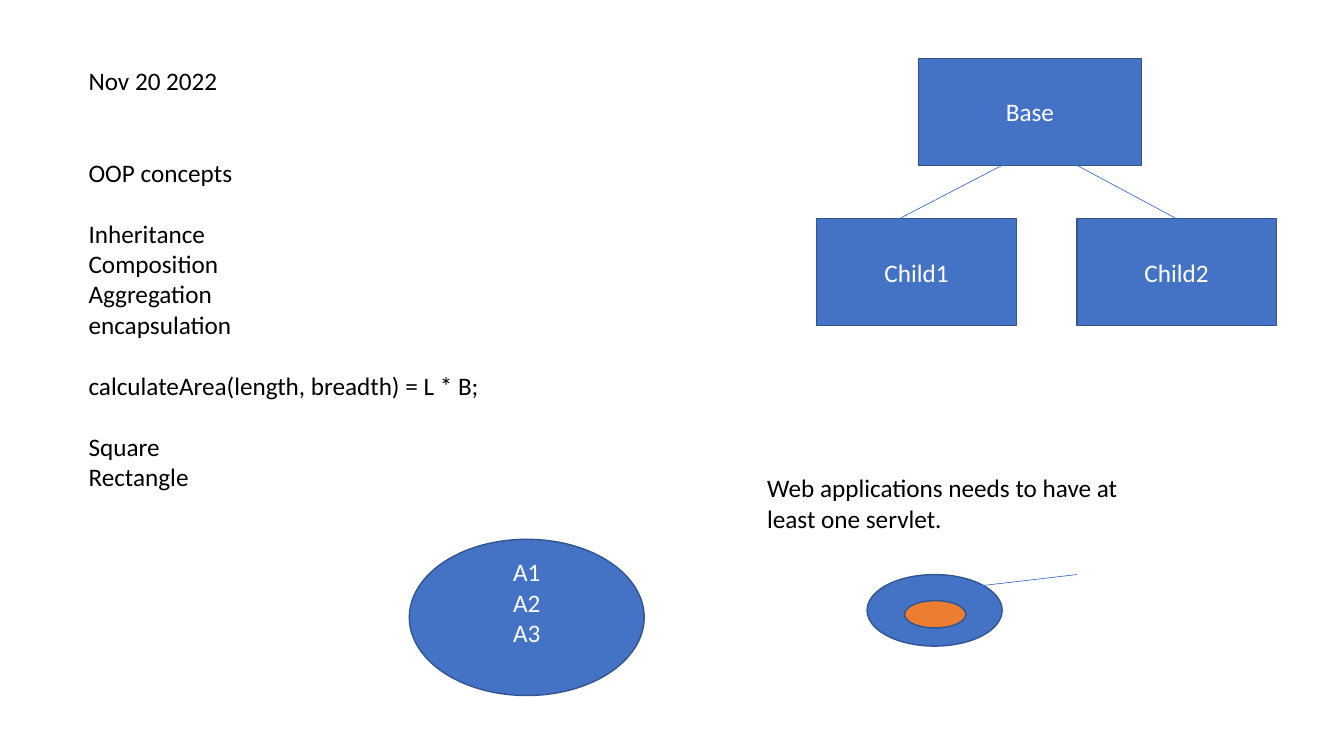
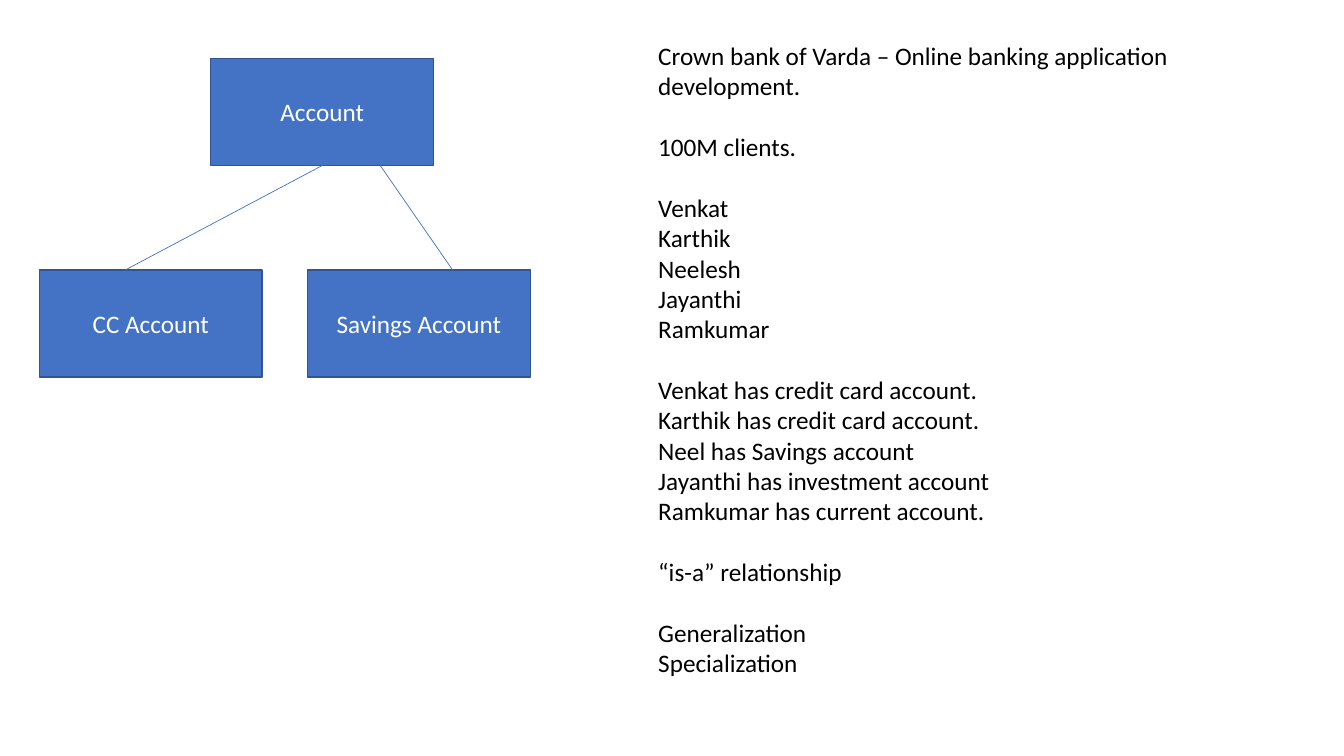
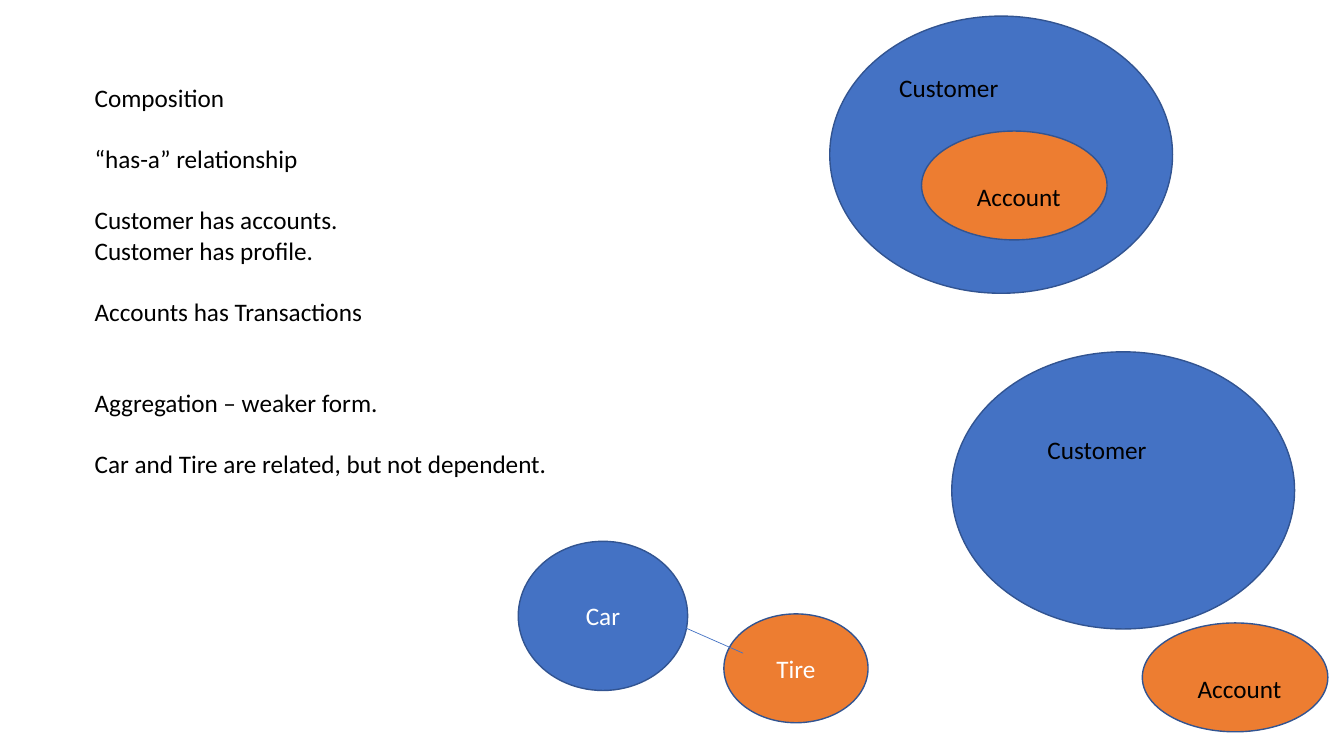
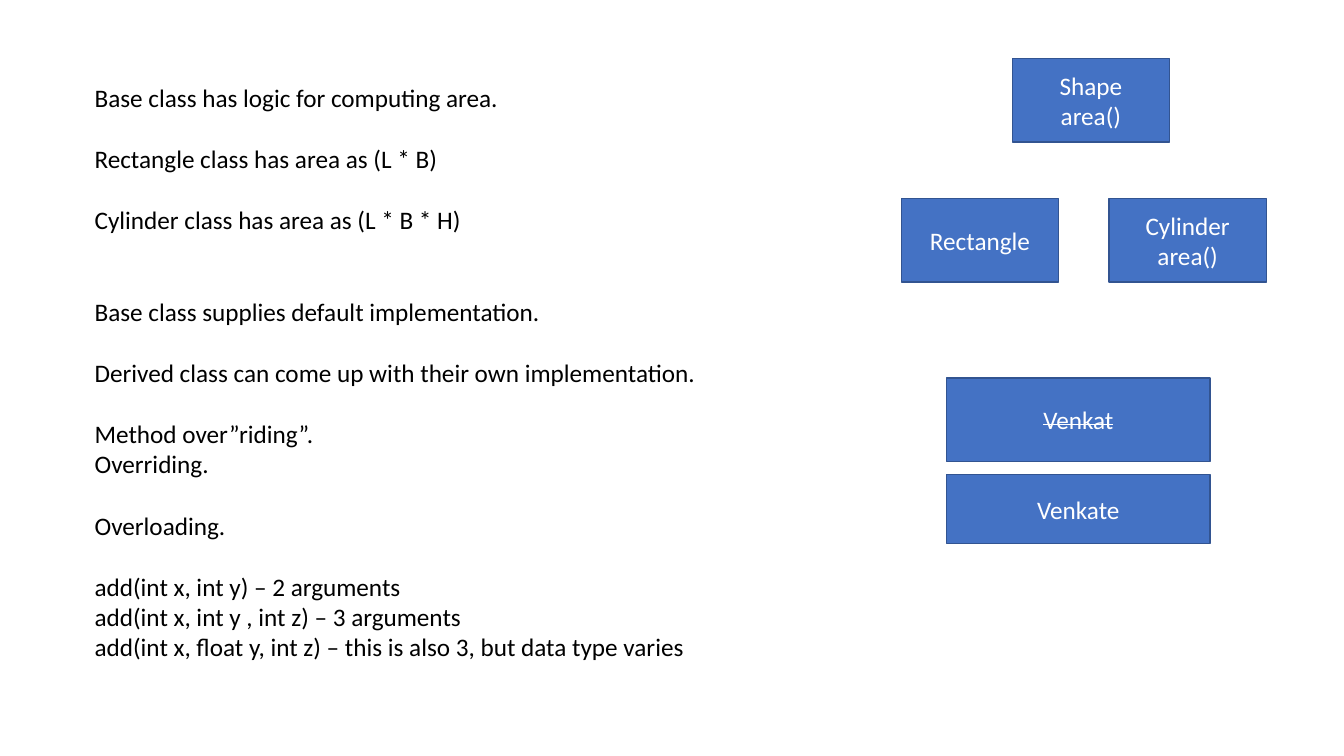
from lxml import etree
from pptx import Presentation
from pptx.dml.color import RGBColor
from pptx.enum.shapes import MSO_CONNECTOR as Link, MSO_SHAPE as Preset
from pptx.enum.text import MSO_ANCHOR as Anchor, MSO_AUTO_SIZE as AutoSize, PP_ALIGN as Align
from pptx.oxml.ns import qn
from pptx.util import Inches, Pt

FONT = "Calibri"
TEXT_SIZE = 18
LINE_HEIGHT = 22
BLUE, ORANGE, EDGE = "4472C4", "ED7D31", "325491"
BLACK, WHITE = "000000", "FFFFFF"


def color(code):
    """Turn a hex string into a colour."""
    return RGBColor.from_string(code)


def place(box):
    """Turn left, top, width and height in inches into lengths."""
    return [Inches(value) for value in box]


def write(para, text, ink=BLACK, align=Align.LEFT, gap=0, strike=False):
    """Write one formatted line, with a gap counted in lines before it."""
    para.alignment = align
    para.space_before = Pt(gap * LINE_HEIGHT)
    span = para.add_run()
    span.text = text
    span.font.name = FONT
    span.font.size = Pt(TEXT_SIZE)
    span.font.color.rgb = color(ink)
    if strike:
        span._r.get_or_add_rPr().set("strike", "sngStrike")


def write_lines(frame, lines, **style):
    """Fill a text frame with one paragraph per line."""
    for index, line in enumerate(lines):
        para = frame.add_paragraph() if index else frame.paragraphs[0]
        write(para, line, **style)


def add_notes(shapes, box, blocks):
    """Place a text column; each block is its gap in lines, then its lines."""
    frame = shapes.add_textbox(*place(box)).text_frame
    frame.word_wrap = True
    frame.auto_size = AutoSize.SHAPE_TO_FIT_TEXT
    para = frame.paragraphs[0]
    for block_index, (gap, *lines) in enumerate(blocks):
        for index, line in enumerate(lines):
            if block_index or index:
                para = frame.add_paragraph()
            write(para, line, gap=0 if index else gap)


def add_node(shapes, box, lines=(), preset=Preset.RECTANGLE, fill=BLUE, strike=False):
    """Place a filled, outlined shape with centred white lines."""
    node = shapes.add_shape(preset, *place(box))
    node.shadow.inherit = False
    node.fill.solid()
    node.fill.fore_color.rgb = color(fill)
    node.line.color.rgb = color(EDGE)
    node.line.width = Pt(1)
    frame = node.text_frame
    frame.word_wrap = True
    frame.vertical_anchor = Anchor.MIDDLE
    write_lines(frame, lines, ink=WHITE, align=Align.CENTER, strike=strike)
    return node


def add_oval(shapes, box, lines=(), fill=BLUE):
    """Place an ellipse node."""
    return add_node(shapes, box, lines, Preset.OVAL, fill)


def add_link(shapes, start, end):
    """Draw a thin line between two points."""
    link = shapes.add_connector(Link.STRAIGHT, *place(start + end))
    link.line.color.rgb = color(BLUE)
    link.line.width = Pt(0.5)
    etree.SubElement(link._element.spPr, qn("a:effectLst"))


def add_tree(shapes, box, parent, children, parent_box, gap, links=()):
    """Place a parent over a row of children.

    parent_box is its offset, width and height; links pair x offsets at
    the parent's lower edge and the children's upper edge.
    """
    left, top, width, height = box
    offset, parent_width, node_height = parent_box
    child_width = (width - gap * (len(children) - 1)) / len(children)
    child_top = top + height - node_height
    add_node(shapes, (left + offset, top, parent_width, node_height), parent)
    for index, lines in enumerate(children):
        child_left = left + index * (child_width + gap)
        add_node(shapes, (child_left, child_top, child_width, node_height), lines)
    for parent_x, child_x in links:
        add_link(shapes, (left + parent_x, top + node_height), (left + child_x, child_top))


def add_customer(shapes, left, top, label_x, label_y):
    """Place the large customer oval; the label offset is from its corner."""
    add_oval(shapes, (left, top, 3.4, 2.75))
    return (left + label_x, top + label_y, 1.74, 0.4)


def add_account(shapes, left, top):
    """Place the account oval with its label."""
    add_oval(shapes, (left, top, 1.84, 1.08), fill=ORANGE)
    add_notes(shapes, (left + 0.45, top + 0.45, 1.07, 0.4), [(0, "Account")])


def add_servlet(shapes, left, top):
    """Place the servlet inside its web application, with a pointer."""
    add_oval(shapes, (left, top, 1.34, 0.71))
    add_link(shapes, (left + 2.08, top), (left + 1.14, top + 0.11))
    add_oval(shapes, (left + 0.37, top + 0.26, 0.61, 0.27), fill=ORANGE)


def add_car(shapes, left, top):
    """Place the car and the tire it is linked to."""
    add_oval(shapes, (left, top, 1.68, 1.48), ["Car"])
    add_oval(shapes, (left + 2.04, top + 0.72, 1.43, 1.08), ["Tire"], fill=ORANGE)
    add_link(shapes, (left + 1.57, top + 0.82), (left + 2.23, top + 1.11))


def build_concepts(page):
    """Slide on OOP concepts."""
    shapes = page.shapes
    add_notes(shapes, (0.78, 0.6, 6.61, 4.34), [
        (0, "Nov 20 2022"),
        (2, "OOP concepts"),
        (1, "Inheritance", "Composition", "Aggregation", "encapsulation"),
        (1, "calculateArea(length, breadth) = L * B;"),
        (1, "Square", "Rectangle"),
    ])
    add_tree(shapes, (8.1, 0.58, 4.56, 2.65), ["Base"], [["Child1"], ["Child2"]],
             (1.01, 2.21, 1.06), 0.6, [(1.84, 0.82), (2.58, 3.57)])
    add_notes(shapes, (7.51, 4.64, 3.72, 0.71),
              [(0, "Web applications needs to have at least one servlet.")])
    members = add_oval(shapes, (4.06, 5.35, 2.33, 1.55), ["A1", "A2", "A3"])
    members.text_frame.margin_bottom = Inches(0.05) + Pt(LINE_HEIGHT)
    add_servlet(shapes, 8.6, 5.7)


def build_inheritance(page):
    """Slide on the is-a relationship."""
    shapes = page.shapes
    add_tree(shapes, (0.39, 0.58, 4.87, 3.16), ["Account"],
             [["CC Account"], ["Savings Account"]],
             (1.7, 2.21, 1.06), 0.45, [(2.81, 0.85), (3.38, 4.1)])
    add_notes(shapes, (6.43, 0.35, 5.31, 6.5), [
        (0, "Crown bank of Varda – Online banking application development."),
        (1, "100M clients."),
        (1, "Venkat", "Karthik", "Neelesh", "Jayanthi", "Ramkumar"),
        (1, "Venkat has credit card account.", "Karthik has credit card account.",
         "Neel has Savings account", "Jayanthi has investment account",
         "Ramkumar has current account."),
        (1, "“is-a” relationship"),
        (1, "Generalization", "Specialization"),
    ])


def build_composition(page):
    """Slide on the has-a relationship."""
    shapes = page.shapes
    add_notes(shapes, (0.84, 0.77, 6.83, 4.06), [
        (0, "Composition"),
        (1, "“has-a” relationship"),
        (1, "Customer has accounts.", "Customer has profile."),
        (1, "Accounts has Transactions"),
        (2, "Aggregation – weaker form."),
        (1, "Car and Tire are related, but not dependent."),
    ])
    owner = shapes.add_group_shape().shapes
    label = add_customer(owner, 8.23, 0.16, 0.59, 0.51)
    add_account(owner, 9.14, 1.3)
    add_notes(owner, label, [(0, "Customer")])
    add_car(shapes.add_group_shape().shapes, 5.14, 5.37)
    label = add_customer(shapes, 9.44, 3.49, 0.85, 0.77)
    add_notes(shapes, label, [(0, "Customer")])
    add_account(shapes.add_group_shape().shapes, 11.33, 6.18)


def build_overriding(page):
    """Slide on overriding and overloading."""
    shapes = page.shapes
    add_notes(shapes, (0.84, 0.77, 6.83, 5.89), [
        (0, "Base class has logic for computing area."),
        (1, "Rectangle class has area as (L * B)"),
        (1, "Cylinder class has area as (L * B * H)"),
        (2, "Base class supplies default implementation."),
        (1, "Derived class can come up with their own implementation."),
        (1, "Method over”riding”.", "Overriding."),
        (1, "Overloading."),
        (1, "add(int x, int y) – 2 arguments",
         "add(int x, int y , int z) – 3 arguments",
         "add(int x, float y, int z) – this is also 3, but data type varies"),
    ])
    add_tree(shapes, (8.94, 0.58, 3.62, 2.22), ["Shape", "area()"],
             [["Rectangle"], ["Cylinder", "area()"]], (1.1, 1.56, 0.83), 0.5)
    add_node(shapes, (9.39, 3.75, 2.61, 0.83), ["Venkat"], strike=True)
    add_node(shapes, (9.39, 4.71, 2.61, 0.68), ["Venkate"])


def main():
    """Build the deck and save it."""
    deck = Presentation()
    deck.slide_width, deck.slide_height = Inches(13.33), Inches(7.5)
    blank = deck.slide_layouts.get_by_name("Blank")
    for build in (build_concepts, build_inheritance, build_composition, build_overriding):
        build(deck.slides.add_slide(blank))
    deck.save("out.pptx")


main()
